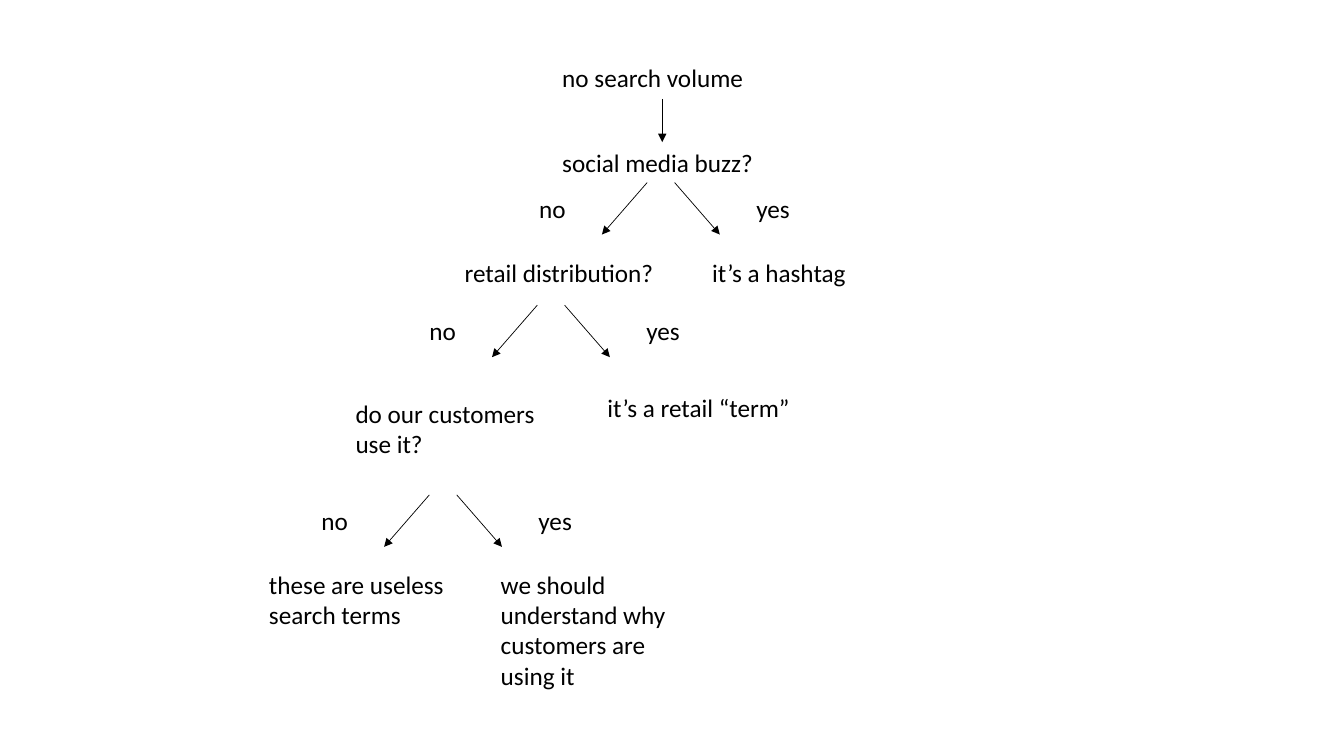
from dataclasses import dataclass
from lxml import etree
from pptx import Presentation
from pptx import util as u
from pptx.dml.color import RGBColor
from pptx.enum import shapes, text
from pptx.oxml.ns import qn

INK = "000000"
WIDE = 5.54             # width of a node
LINE, PAD = 0.77, 0.25  # height of a text line, total inset
RUN, DROP = 1.14, 1.31  # reach of a branch arrow
GAP = 0.69              # between the two arrow starts


@dataclass
class Node:
    text: str
    x: float
    y: float
    rows: int = 1


@dataclass
class Fork:
    x: float
    y: float


NODES = [
    Node("no search volume", 13.92, 1.45),
    Node("social media buzz?", 13.92, 3.58),
    Node("retail distribution?", 11.46, 6.35),
    Node("it’s a hashtag", 17.7, 6.35),
    Node("do our customers use it?", 8.71, 9.91, 2),
    Node("it’s a retail “term”", 15.06, 9.75),
    Node("these are useless search terms", 6.53, 14.22, 2),
    Node("we should understand why customers are using it", 12.37, 14.22, 4),
]
FORKS = [Fork(16.31, 4.6), Fork(13.54, 7.69), Fork(10.82, 12.47)]

deck = Presentation()
deck.slide_width, deck.slide_height = u.Cm(33.87), u.Cm(19.05)
slide = deck.slides.add_slide(deck.slide_layouts[6])


def color(code: str) -> RGBColor:
    return RGBColor.from_string(code)


def write(words: str, x: float, y: float, *, wide: float = WIDE, rows: int = 1,
          size: float = 18, font: str = "Calibri", ink: str = INK) -> None:
    box = slide.shapes.add_textbox(u.Cm(x), u.Cm(y), u.Cm(wide), u.Cm(PAD + rows * LINE))
    frame = box.text_frame
    frame.word_wrap = True
    frame.auto_size = text.MSO_AUTO_SIZE.SHAPE_TO_FIT_TEXT
    run = frame.paragraphs[0].add_run()
    run.text = words
    run.font.size, run.font.name = u.Pt(size), font
    run.font.color.rgb = color(ink)


def arrow(x: float, y: float, dx: float, dy: float) -> None:
    line = slide.shapes.add_connector(
        shapes.MSO_CONNECTOR.STRAIGHT, u.Cm(x), u.Cm(y), u.Cm(x + dx), u.Cm(y + dy))
    line.line.color.rgb = color(INK)
    line.line.width = u.Pt(0.5)
    etree.SubElement(line.line._get_or_add_ln(), qn("a:tailEnd"), type="triangle")
    etree.SubElement(line._element.spPr, qn("a:effectLst"))


def branch(fork: Fork) -> None:
    arrow(fork.x, fork.y, -RUN, DROP)
    arrow(fork.x + GAP, fork.y, RUN, DROP)
    for word, shift in (("no", -2.97), ("yes", 2.5)):
        write(word, fork.x + shift, fork.y + 0.14, wide=1.68)


# Questions and outcomes
for node in NODES:
    write(node.text, node.x, node.y, rows=node.rows)

# Arrows and answers
arrow(16.69, 2.49, 0, 1.09)
for fork in FORKS:
    branch(fork)

deck.save("out.pptx")
